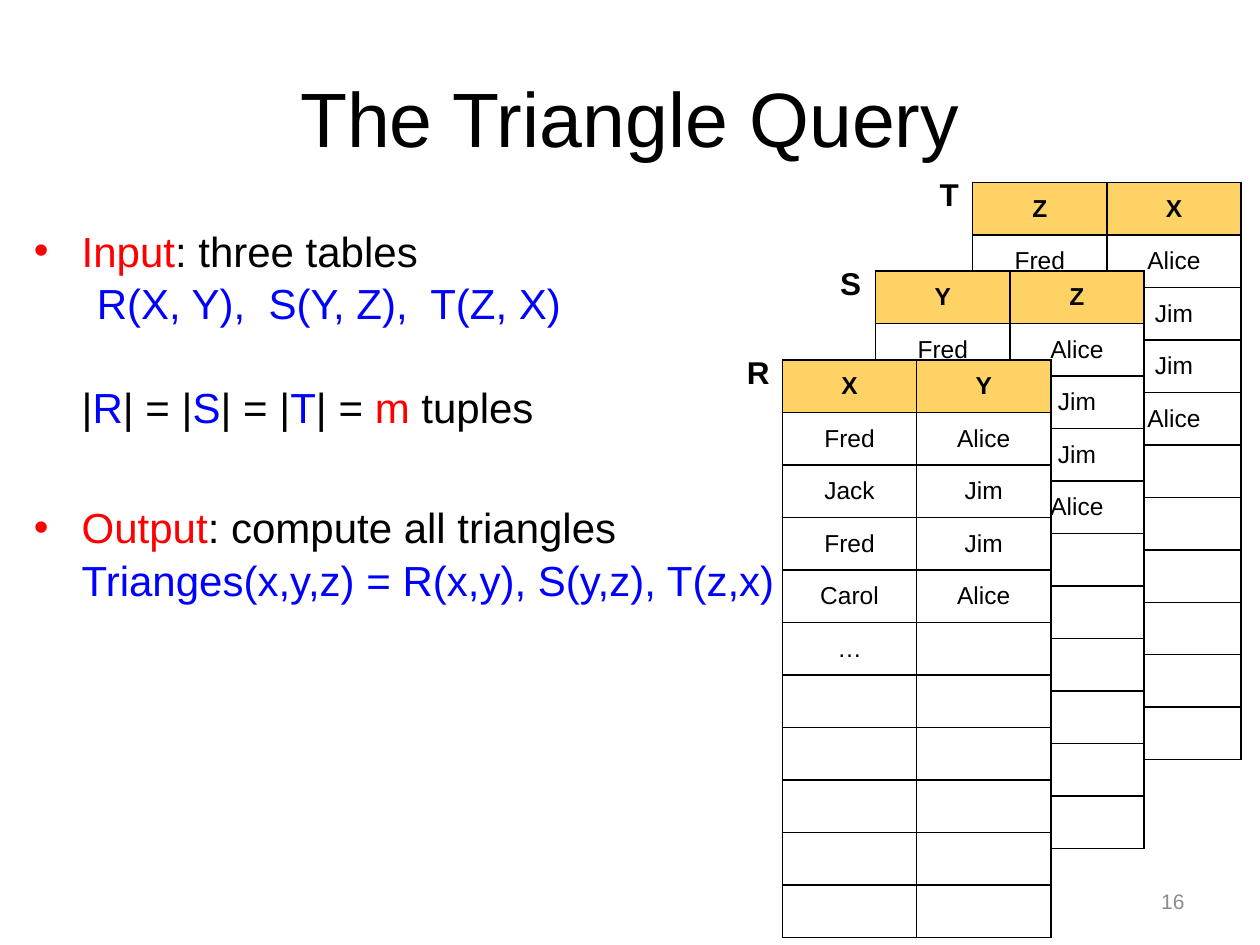
from pptx import Presentation
from pptx.dml.color import RGBColor
from pptx.enum.text import MSO_ANCHOR as Anchor, MSO_AUTO_SIZE as AutoSize, PP_ALIGN as Align
from pptx.oxml import parse_xml
from pptx.oxml.ns import nsdecls
from pptx.util import Inches, Pt

WIDTH, HEIGHT = Inches(10), Inches(7.5)
BLACK, WHITE, RED, BLUE, GOLD, GREY = "000000", "FFFFFF", "FF0000", "0000FF", "FFD266", "8C8C8C"
ROWS = [("Fred", "Alice"), ("Jack", "Jim"), ("Fred", "Jim"), ("Carol", "Alice"), ("…", "")]
ROW_COUNT = 11
RELATIONS = [
    ("T", "ZX", 77.2, 19.3, 3.6),
    ("S", "YZ", 69.5, 28.7, 3.8),
    ("R", "XY", 62.1, 38.1, 3.8),
]
BODY = [
    (True, 0.38, 0, [("Input", RED), (": three tables", BLACK)]),
    (False, 0.5, 0, [("R(X, Y),  S(Y, Z),  T(Z, X)", BLUE)]),
    (False, 0.38, 28.9, [("|", BLACK), ("R", BLUE), ("| = |", BLACK), ("S", BLUE), ("| = |", BLACK),
                         ("T", BLUE), ("| = ", BLACK), ("m ", RED), ("tuples", BLACK)]),
    (True, 0.38, 38.5, [("Output", RED), (": compute all triangles\v", BLACK),
                        ("Trianges(x,y,z) = R(x,y), S(y,z), T(z,x)", BLUE)]),
]


def color(value):
    """Turn a hex string into a colour."""
    return RGBColor.from_string(value)


def place(left, top, width, height):
    """Turn percentages of the slide into lengths."""
    return (int(WIDTH * left / 100), int(HEIGHT * top / 100),
            int(WIDTH * width / 100), int(HEIGHT * height / 100))


def style(para, size, tint=BLACK, bold=False, align=Align.LEFT):
    """Set the font and alignment of a paragraph."""
    para.alignment = align
    para.font.name, para.font.size, para.font.bold = "Arial", Pt(size), bold
    para.font.color.rgb = color(tint)


def add_text(page, box, text, size, anchor=Anchor.TOP, wrap=True, **look):
    """Place one styled line of text in the box."""
    frame = page.shapes.add_textbox(*place(*box)).text_frame
    frame.word_wrap = wrap
    frame.auto_size = AutoSize.NONE if wrap else AutoSize.SHAPE_TO_FIT_TEXT
    frame.vertical_anchor = anchor
    frame.text = text
    style(frame.paragraphs[0], size, **look)


def indent(para, margin, bullet):
    """Set the left margin and the red hanging bullet of a paragraph."""
    props = para._p.get_or_add_pPr()
    props.set("marL", str(Inches(margin)))
    props.set("indent", str(-Inches(margin) if bullet else 0))
    if bullet:
        props.append(parse_xml(f'<a:buClr {nsdecls("a")}><a:srgbClr val="{RED}"/></a:buClr>'))
        props.append(parse_xml(f'<a:buFont {nsdecls("a")} typeface="Arial"/>'))
        props.append(parse_xml(f'<a:buChar {nsdecls("a")} char="•"/>'))


def add_body(page, box):
    """Place the bulleted statement of the query in the box."""
    frame = page.shapes.add_textbox(*place(*box)).text_frame
    frame.word_wrap = True
    for index, (bullet, margin, gap, spans) in enumerate(BODY):
        para = frame.add_paragraph() if index else frame.paragraphs[0]
        indent(para, margin, bullet)
        style(para, 24)
        para.line_spacing = 1.05
        para.space_before = Pt(gap)
        for text, tint in spans:
            for part, line in enumerate(text.split("\v")):
                if part:
                    para.add_line_break()
                if line:
                    span = para.add_run()
                    span.text = line
                    span.font.size = Pt(24)
                    span.font.color.rgb = color(tint)


def fill_cell(cell, text, header):
    """Write, border and fill one table cell."""
    props = cell._tc.get_or_add_tcPr()
    for side in "LRTB":
        props.append(parse_xml(
            f'<a:ln{side} {nsdecls("a")} w="{Pt(1)}"><a:solidFill>'
            f'<a:srgbClr val="{BLACK}"/></a:solidFill></a:ln{side}>'))
    cell.fill.solid()
    cell.fill.fore_color.rgb = color(GOLD if header else WHITE)
    cell.vertical_anchor = Anchor.MIDDLE
    cell.text = text
    style(cell.text_frame.paragraphs[0], 14, bold=header, align=Align.CENTER)


def add_relation(page, box, name, columns, label_width):
    """Place a relation's table in the box and its name to the left."""
    left, top, _, _ = box
    table = page.shapes.add_table(ROW_COUNT, len(columns), *place(*box)).table
    table.first_row = table.horz_banding = False
    blanks = [("", "")] * (ROW_COUNT - 1 - len(ROWS))
    for row, texts in enumerate([tuple(columns), *ROWS, *blanks]):
        for column, text in enumerate(texts):
            fill_cell(table.cell(row, column), text, row == 0)
    add_text(page, (left - label_width, top - 1.4, label_width, 5.4), name, 18, wrap=False, bold=True)


def main():
    """Build and save the slide."""
    deck = Presentation()
    deck.slide_width, deck.slide_height = WIDTH, HEIGHT
    page = deck.slides.add_slide(deck.slide_layouts[6])
    add_text(page, (5, 4, 90, 16.7), "The Triangle Query", 44, Anchor.MIDDLE, align=Align.CENTER)
    add_body(page, (1.7, 22.9, 80.8, 64.5))
    for name, columns, left, top, label_width in RELATIONS:
        add_relation(page, (left, top, 21.3, 61.1), name, columns, label_width)
    add_text(page, (71.7, 92.7, 23.3, 5.3), "16", 12, Anchor.MIDDLE, tint=GREY, align=Align.RIGHT)
    deck.save("out.pptx")


if __name__ == "__main__":
    main()
